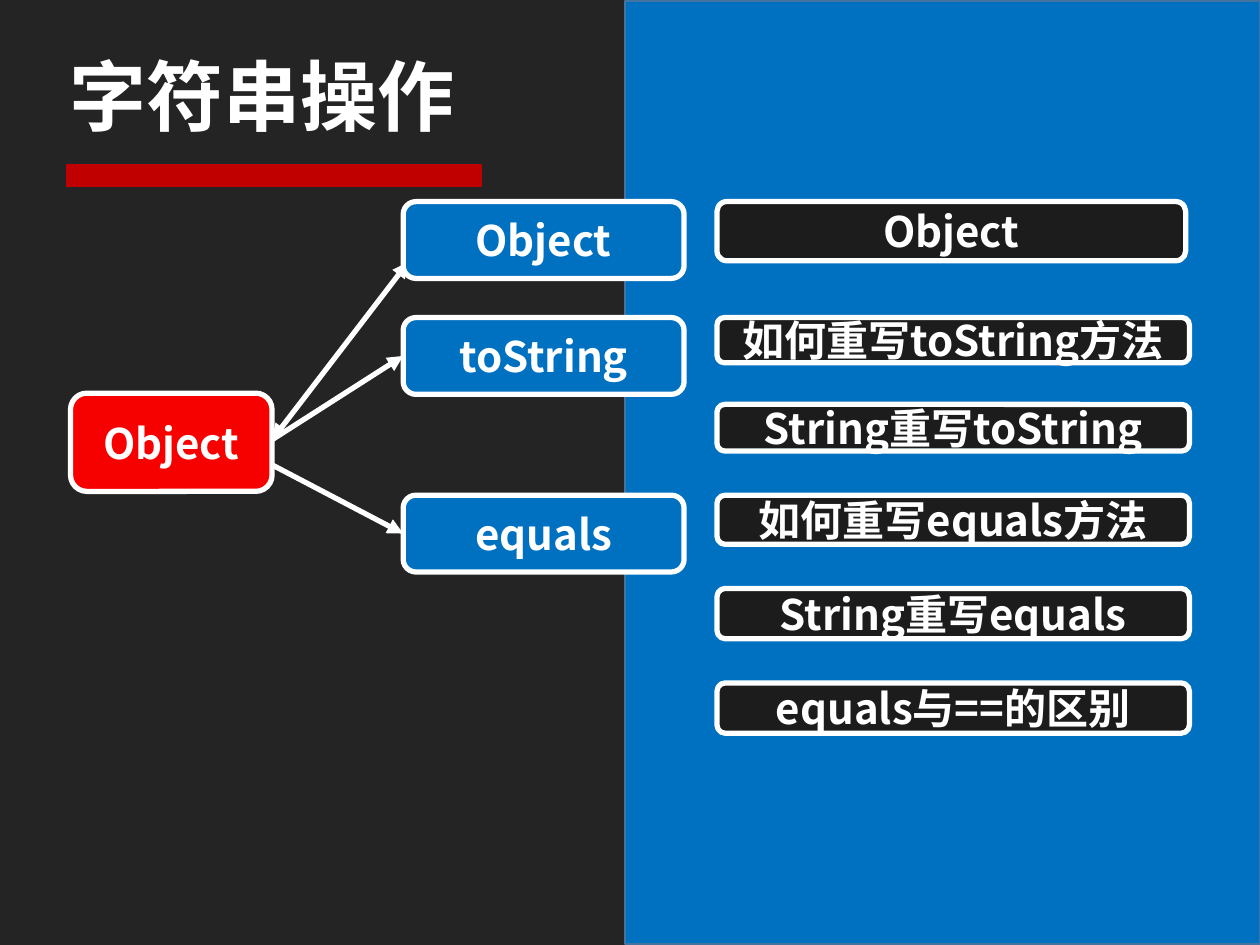
"""Build the slide on string operations: an object tree beside a topic list."""
from dataclasses import dataclass

from lxml.etree import SubElement
from pptx import Presentation
from pptx.dml.color import RGBColor
from pptx.enum.shapes import MSO_CONNECTOR as Connector, MSO_SHAPE as Preset
from pptx.enum.text import MSO_ANCHOR as Anchor, PP_ALIGN as Align
from pptx.oxml.ns import qn
from pptx.util import Inches, Pt

FONT = "Noto Sans CJK SC"
WHITE, BLUE, RED = "FFFFFF", "0070C0", "C00000"
BACKGROUND, TOPIC_FILL, ROOT_FILL = "242424", "1C1C1C", "F60000"


@dataclass(frozen=True)
class Box:
    text: str
    left: float
    top: float
    width: float
    height: float
    fill: str


@dataclass(frozen=True)
class Arrow:
    start: tuple[float, float]
    end: tuple[float, float]
    both_ends: bool = False


def method_box(text: str, top: float) -> Box:
    return Box(text, 3.2, top, 2.23, 0.61, BLUE)


def topic_box(text: str, top: float, height: float, width: float = 3.75) -> Box:
    return Box(text, 5.69, top, width, height, TOPIC_FILL)


ROOT = Box("Object", 0.56, 3.12, 1.6, 0.78, ROOT_FILL)
OBJECT_METHOD = method_box("Object", 1.6)
OBJECT_ARROW = Arrow((2.16, 3.49), (3.24, 2.08), both_ends=True)
LINKED_METHODS = [
    (method_box("toString", 2.52), Arrow((2.16, 3.49), (3.2, 2.83))),
    (method_box("equals", 3.93), Arrow((2.16, 3.69), (3.2, 4.24))),
]
TOPICS = [
    topic_box("Object", 1.6, 0.47, width=3.72),
    topic_box("如何重写toString方法", 2.52, 0.36),
    topic_box("String重写toString", 3.21, 0.37),
    topic_box("如何重写equals方法", 3.93, 0.39),
    topic_box("String重写equals", 4.67, 0.4),
    topic_box("equals与==的区别", 5.42, 0.4),
]


def paint(color_format, value: str) -> None:
    color_format.rgb = RGBColor.from_string(value)


def add_block(slide, preset, left: float, top: float, width: float, height: float,
              fill: str, line: str, line_width: float):
    shape = slide.shapes.add_shape(
        preset, Inches(left), Inches(top), Inches(width), Inches(height))
    shape.shadow.inherit = False
    shape.fill.solid()
    paint(shape.fill.fore_color, fill)
    paint(shape.line.color, line)
    shape.line.width = Pt(line_width)
    return shape


def write_text(shape, text: str, size: float, align, wrap: bool) -> None:
    frame = shape.text_frame
    frame.word_wrap = wrap
    frame.vertical_anchor = Anchor.MIDDLE
    frame.margin_left = frame.margin_right = Inches(0.1)
    frame.margin_top = frame.margin_bottom = Inches(0.05)
    paragraph = frame.paragraphs[0]
    paragraph.text = text
    paragraph.alignment = align
    font = paragraph.font
    font.size, font.bold, font.name = Pt(size), True, FONT
    paint(font.color, WHITE)
    run_properties = paragraph.runs[0].font
    run_properties.name = FONT
    latin = paragraph.runs[0].font._element.find(qn("a:latin"))
    east_asian = latin.makeelement(qn("a:ea"), {"typeface": FONT})
    latin.addnext(east_asian)


def add_box(slide, box: Box):
    shape = add_block(slide, Preset.FLOWCHART_ALTERNATE_PROCESS, box.left, box.top,
                      box.width, box.height, box.fill, WHITE, 3)
    write_text(shape, box.text, 24, Align.CENTER, wrap=False)
    return shape


def add_arrow(slide, arrow: Arrow):
    connector = slide.shapes.add_connector(
        Connector.STRAIGHT, *map(Inches, arrow.start + arrow.end))
    paint(connector.line.color, WHITE)
    connector.line.width = Pt(3)
    line = connector.line._get_or_add_ln()
    if arrow.both_ends:
        SubElement(line, qn("a:headEnd"), type="triangle")
    SubElement(line, qn("a:tailEnd"), type="triangle")
    SubElement(connector._element.spPr, qn("a:effectLst"))
    return connector


def main() -> None:
    presentation = Presentation()
    presentation.slide_width, presentation.slide_height = Inches(10), Inches(7.5)
    slide = presentation.slides.add_slide(presentation.slide_layouts[6])
    slide.background.fill.solid()
    paint(slide.background.fill.fore_color, BACKGROUND)

    add_block(slide, Preset.RECTANGLE, 4.96, 0.01, 5.04, 7.48, BLUE, "43739E", 1)
    title = slide.shapes.add_textbox(
        Inches(0.45), Inches(0.23), Inches(9.09), Inches(1.04))
    write_text(title, "字符串操作", 44, Align.LEFT, wrap=True)
    add_box(slide, ROOT)
    add_block(slide, Preset.RECTANGLE, 0.53, 1.31, 3.29, 0.17, RED, RED, 1)

    add_arrow(slide, OBJECT_ARROW)
    add_box(slide, OBJECT_METHOD)
    for topic in TOPICS:
        add_box(slide, topic)
    for method, arrow in LINKED_METHODS:
        method_shape = add_box(slide, method)
        add_arrow(slide, arrow).end_connect(method_shape, 1)

    presentation.save("out.pptx")


if __name__ == "__main__":
    main()
